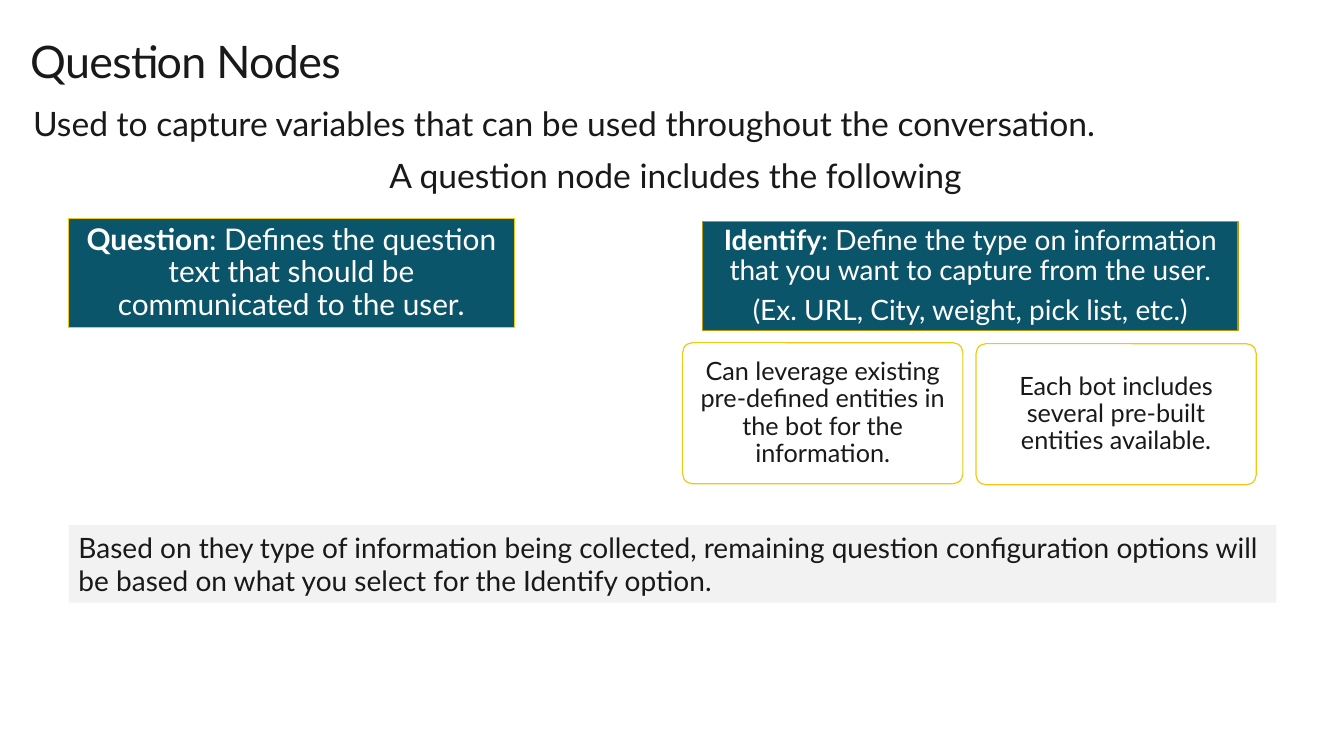
from dataclasses import dataclass
from typing import Optional

from pptx import Presentation
from pptx.dml.color import RGBColor
from pptx.enum.shapes import MSO_SHAPE
from pptx.enum.text import MSO_ANCHOR, MSO_AUTO_SIZE, PP_ALIGN
from pptx.util import Inches, Pt

FONT = "Lato"
INK, WHITE, TEAL, YELLOW = "191919", "FFFFFF", "0B556A", "F2C811"
OLIVE, PALE_GREY = "B8980A", "F2F2F2"
CORNER_RADIUS = 0.1
SPACE_AFTER = 0.35


@dataclass(frozen=True)
class Run:
    text: str
    bold: bool = False


@dataclass(frozen=True)
class Card:
    left: float
    top: float
    width: float
    height: float
    paragraphs: tuple[tuple[Run, ...], ...]
    size: float
    ink: str = INK
    fill: Optional[str] = None
    line: Optional[str] = None
    rounded: bool = False
    inset: float = 0.07
    centered: bool = True


def color(value: str) -> RGBColor:
    return RGBColor.from_string(value)


def place(shape, left: float, top: float, width: float, height: float) -> None:
    shape.left, shape.top = Inches(left), Inches(top)
    shape.width, shape.height = Inches(width), Inches(height)


def set_insets(frame, left: float, top: float, right: float, bottom: float) -> None:
    frame.margin_left, frame.margin_top = Inches(left), Inches(top)
    frame.margin_right, frame.margin_bottom = Inches(right), Inches(bottom)


def add_run(paragraph, text: str, size: float, ink: str, bold: bool = False):
    run = paragraph.add_run()
    run.text = text
    run.font.name, run.font.size, run.font.bold = FONT, Pt(size), bold
    run.font.color.rgb = color(ink)
    return run


def add_card(slide, card: Card) -> None:
    kind = MSO_SHAPE.ROUNDED_RECTANGLE if card.rounded else MSO_SHAPE.RECTANGLE
    shape = slide.shapes.add_shape(
        kind, Inches(card.left), Inches(card.top), Inches(card.width), Inches(card.height))
    shape.shadow.inherit = False
    if card.rounded:
        shape.adjustments[0] = CORNER_RADIUS / min(card.width, card.height)
    if card.fill:
        shape.fill.solid()
        shape.fill.fore_color.rgb = color(card.fill)
    else:
        shape.fill.background()
    if card.line:
        shape.line.color.rgb = color(card.line)
        shape.line.width = Pt(0.85)
    else:
        shape.line.fill.background()

    frame = shape.text_frame
    frame.word_wrap = True
    frame.vertical_anchor = MSO_ANCHOR.MIDDLE if card.centered else MSO_ANCHOR.TOP
    if card.centered:
        set_insets(frame, *[card.inset] * 4)
    for index, runs in enumerate(card.paragraphs):
        paragraph = frame.add_paragraph() if index else frame.paragraphs[0]
        paragraph.alignment = PP_ALIGN.CENTER if card.centered else PP_ALIGN.LEFT
        if card.centered:
            paragraph.line_spacing = 0.9
            paragraph.space_after = Pt(round(card.size * SPACE_AFTER))
        for run in runs:
            add_run(paragraph, run.text, card.size, card.ink, run.bold)


def add_title(slide, text: str) -> None:
    title = slide.shapes.title
    place(title, 0.3, 0.29, 12.67, 0.58)
    title.fill.solid()
    title.fill.fore_color.rgb = color(WHITE)
    frame = title.text_frame
    frame.word_wrap = True
    frame.auto_size = MSO_AUTO_SIZE.NONE
    frame.vertical_anchor = MSO_ANCHOR.TOP
    set_insets(frame, 0, 0.1, 0.16, 0.1)
    paragraph = frame.paragraphs[0]
    paragraph.alignment = PP_ALIGN.LEFT
    paragraph.line_spacing = 0.9
    run = add_run(paragraph, text, 32, INK)
    run.font._element.set("spc", "-50")


def add_intro(slide, text: str) -> None:
    intro = slide.shapes.add_textbox(Inches(0.23), Inches(0.97), Inches(12.46), Inches(0.5))
    intro.text_frame.word_wrap = True
    add_run(intro.text_frame.paragraphs[0], text, 24, INK)


CARDS = (
    # Heading above the two parts
    Card(0.68, 1.51, 12.04, 0.5, ((Run("A question node includes the following"),),),
         24, line=WHITE, rounded=True, inset=0.17),
    # The two parts of a question node
    Card(0.68, 2.17, 4.42, 1.08,
         ((Run("Question", True),
           Run(": Defines the question text that should be communicated to the user.")),),
         21.3, ink=WHITE, fill=TEAL, line=YELLOW),
    Card(6.97, 2.2, 5.31, 1.08,
         ((Run("Identify", True),
           Run(": Define the type on information that you want to capture from the user.")),
          (Run("(Ex. URL, City, weight, pick list, etc.)"),)),
         20, ink=WHITE, fill=TEAL, line=OLIVE),
    # Details of Identify
    Card(6.77, 3.4, 2.78, 1.4,
         ((Run("Can leverage existing pre-defined entities in the bot for the information."),),),
         18, line=YELLOW, rounded=True),
    Card(9.68, 3.41, 2.78, 1.4,
         ((Run("Each bot includes several pre-built entities available."),),),
         18, line=YELLOW, rounded=True),
    # Closing note
    Card(0.68, 5.21, 11.98, 0.77,
         ((Run("Based on they type of information being collected, remaining question "
               "configuration options will be based on what you select for the "
               "Identify option."),),),
         20, fill=PALE_GREY, centered=False),
)


def main() -> None:
    deck = Presentation()
    deck.slide_width, deck.slide_height = Inches(13.33), Inches(7.5)
    slide = deck.slides.add_slide(deck.slide_layouts[5])
    slide.background.fill.solid()
    slide.background.fill.fore_color.rgb = color(WHITE)

    add_title(slide, "Question Nodes")
    add_intro(slide, "Used to capture variables that can be used throughout the conversation.")
    for card in CARDS:
        add_card(slide, card)
    deck.save("out.pptx")


if __name__ == "__main__":
    main()
